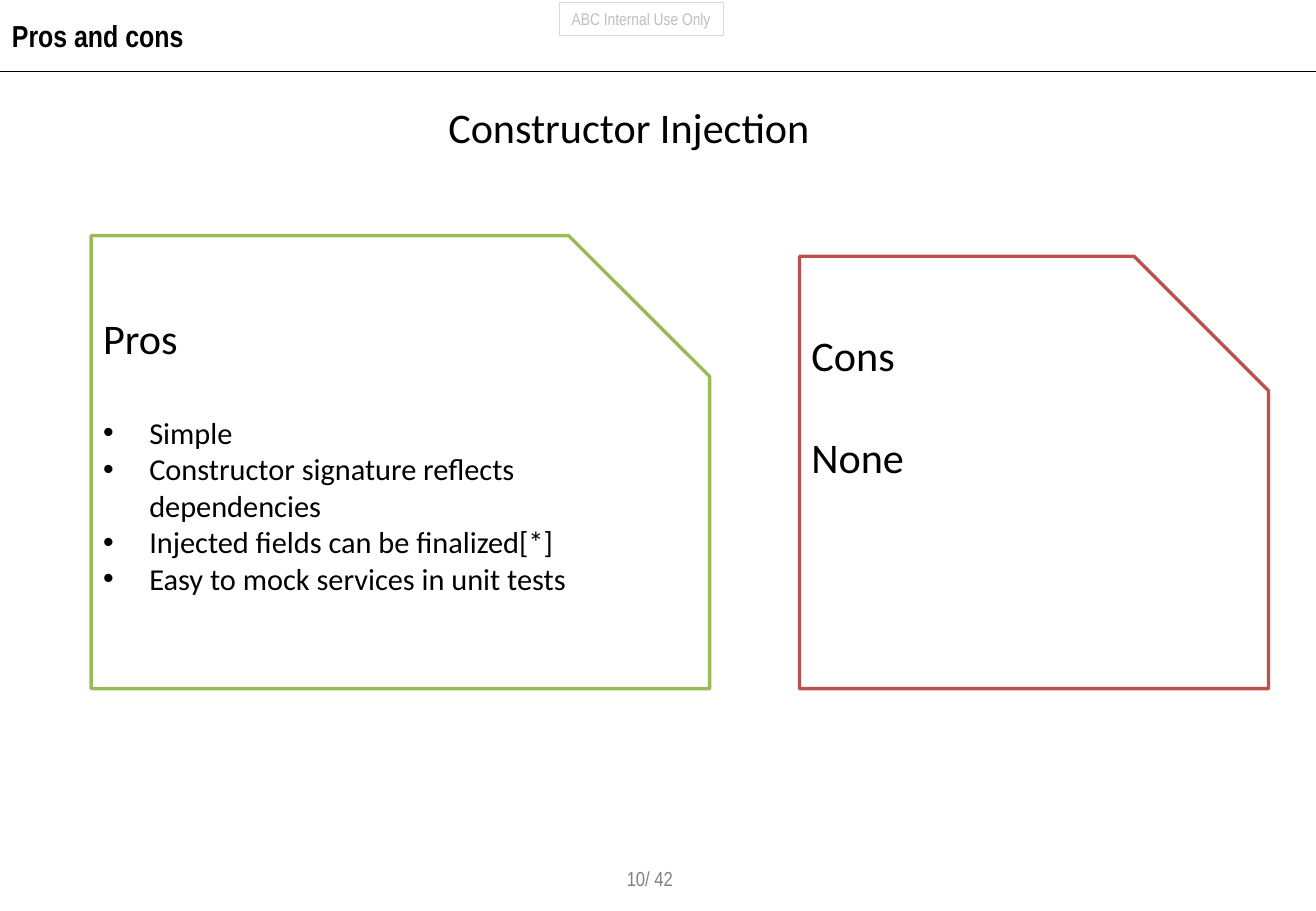
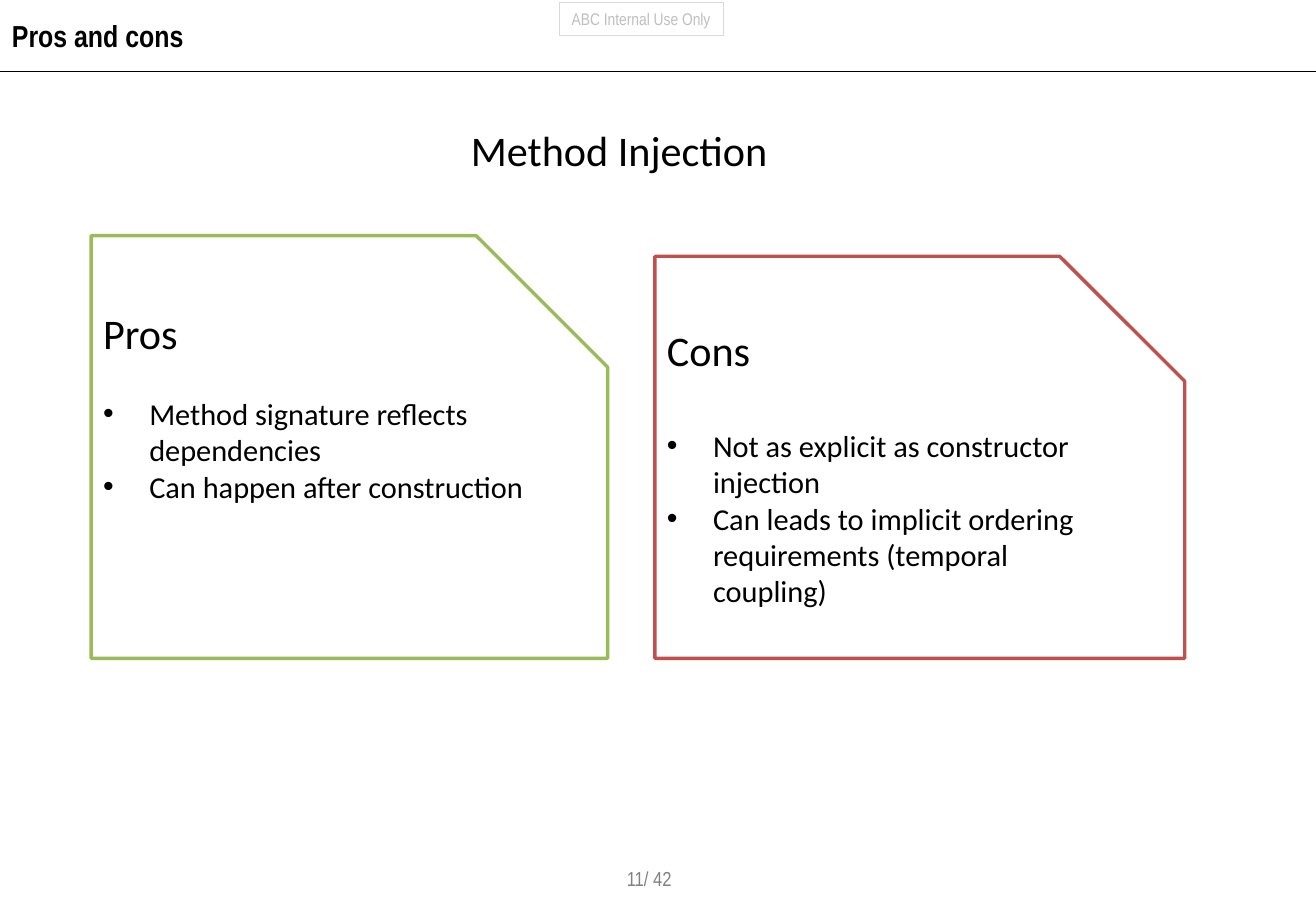
from lxml import etree
from pptx import Presentation
from pptx.dml.color import RGBColor
from pptx.enum.shapes import MSO_CONNECTOR, MSO_SHAPE
from pptx.enum.text import MSO_ANCHOR, PP_ALIGN
from pptx.oxml.ns import qn
from pptx.util import Inches, Pt

RECTANGLE, SNIPPED = MSO_SHAPE.RECTANGLE, MSO_SHAPE.SNIP_1_RECTANGLE
STRAIGHT = MSO_CONNECTOR.STRAIGHT
TOP, MIDDLE = MSO_ANCHOR.TOP, MSO_ANCHOR.MIDDLE
LEFT, CENTER = PP_ALIGN.LEFT, PP_ALIGN.CENTER

COLORS = {
    "text": "000000", "paper": "FFFFFF", "pros": "9BBB59", "cons": "C0504D",
    "tag": "BFBFBF", "tag_line": "D9D9D9", "page_number": "808080",
}
FORMATS = {
    "title": {"name": "Arial Narrow", "size": Pt(18), "bold": True},
    "tag": {"name": "Arial Narrow", "size": Pt(10)},
    "page_number": {"name": "Arial Narrow", "size": Pt(12)},
    "heading": {"name": "Calibri", "size": Pt(25)},
    "bullet": {"name": "Calibri", "size": Pt(18)},
}
WIDTH, HEIGHT = 10.83, 7.5
RULE_TOP = 0.59
PAGE_COUNT = 42
SNIP = 0.311
BULLET_INDENT = Inches(0.38)

# Each panel: kind, place, space under its heading in points, body style, body lines
PAGES = [
    {"number": 10, "heading": "Constructor Injection", "heading_at": (2.25, 0.73),
     "panels": [
         ("Pros", (0.75, 1.94, 5.09, 3.73), 30.5, "bullet",
          ["Simple", "Constructor signature reflects dependencies",
           "Injected fields can be finalized[*]",
           "Easy to mock services in unit tests"]),
         ("Cons", (6.58, 2.11, 3.86, 3.56), 30.5, "heading", ["None"]),
     ]},
    {"number": 11, "heading": "Method Injection", "heading_at": (2.17, 0.92),
     "panels": [
         ("Pros", (0.75, 1.94, 4.25, 3.48), 22, "bullet",
          ["Method signature reflects dependencies",
           "Can happen after construction"]),
         ("Cons", (5.39, 2.11, 4.36, 3.31), 30.5, "bullet",
          ["Not as explicit as constructor injection",
           "Can leads to implicit ordering requirements (temporal coupling)"]),
     ]},
]


def write(box, lines, anchor=MIDDLE, align=LEFT, wrap=True, gap=0):
    """Fill a box with (text, style) lines; gap is the space after the first."""
    frame = box.text_frame
    frame.word_wrap = wrap
    frame.vertical_anchor = anchor
    for index, (text, style) in enumerate(lines):
        para = frame.add_paragraph() if index else frame.paragraphs[0]
        para.alignment = align
        if index == 0 and gap:
            para.space_after = Pt(gap)
        span = para.add_run()
        span.text = text
        for name, value in FORMATS[style].items():
            setattr(span.font, name, value)
        span.font.color.rgb = RGBColor.from_string(COLORS.get(style, COLORS["text"]))
        if style == "bullet":
            properties = para._p.get_or_add_pPr()
            properties.set("marL", str(BULLET_INDENT))
            properties.set("indent", str(-BULLET_INDENT))
            etree.SubElement(properties, qn("a:buFont")).set("typeface", "Arial")
            etree.SubElement(properties, qn("a:buChar")).set("char", "•")


def add_outlined(page, preset, place, line_color, line_width):
    shape = page.shapes.add_shape(preset, *map(Inches, place))
    shape.shadow.inherit = False
    shape.fill.solid()
    shape.fill.fore_color.rgb = RGBColor.from_string(COLORS["paper"])
    shape.line.color.rgb = RGBColor.from_string(COLORS[line_color])
    shape.line.width = Pt(line_width)
    return shape


deck = Presentation()
deck.slide_width, deck.slide_height = Inches(WIDTH), Inches(HEIGHT)
blank = deck.slide_layouts[6]

for content in PAGES:
    page = deck.slides.add_slide(blank)

    tag = add_outlined(page, RECTANGLE, (4.6, 0.02, 1.35, 0.27), "tag_line", 0.5)
    write(tag, [("ABC Internal Use Only", "tag")], align=CENTER, wrap=False)

    rule = page.shapes.add_connector(
        STRAIGHT, 0, Inches(RULE_TOP), Inches(WIDTH), Inches(RULE_TOP))
    rule.line.color.rgb = RGBColor.from_string(COLORS["text"])
    rule.line.width = Pt(0.75)
    etree.SubElement(rule._element.spPr, qn("a:effectLst"))

    labels = [
        (f"{content['number']}/ {PAGE_COUNT}", "page_number", (5.06, 7.08, 0.6, 0.3), LEFT, False),
        ("Pros and cons", "title", (0, 0.11, 9.75, 0.37), LEFT, True),
        (content["heading"], "heading", (*content["heading_at"], 5.85, 0.62), CENTER, True),
    ]
    for text, style, place, align, wrap in labels:
        box = page.shapes.add_textbox(*map(Inches, place))
        write(box, [(text, style)], align=align, wrap=wrap)

    for kind, place, gap, body_style, body in content["panels"]:
        panel = add_outlined(page, SNIPPED, place, kind.lower(), 2)
        panel.adjustments[0] = SNIP
        lines = [(kind, "heading")] + [(text, body_style) for text in body]
        write(panel, lines, anchor=TOP, gap=gap)

deck.save("out.pptx")
